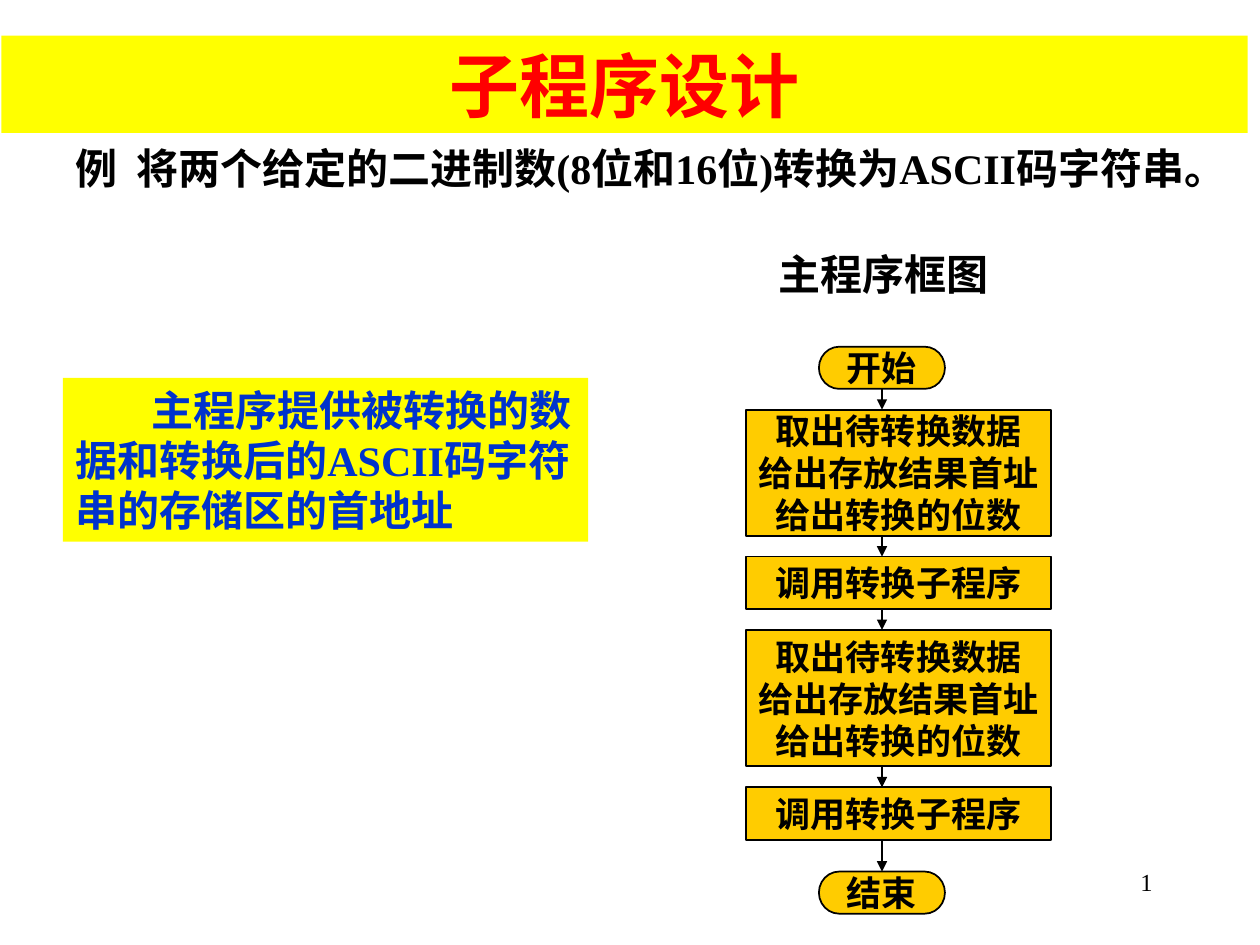
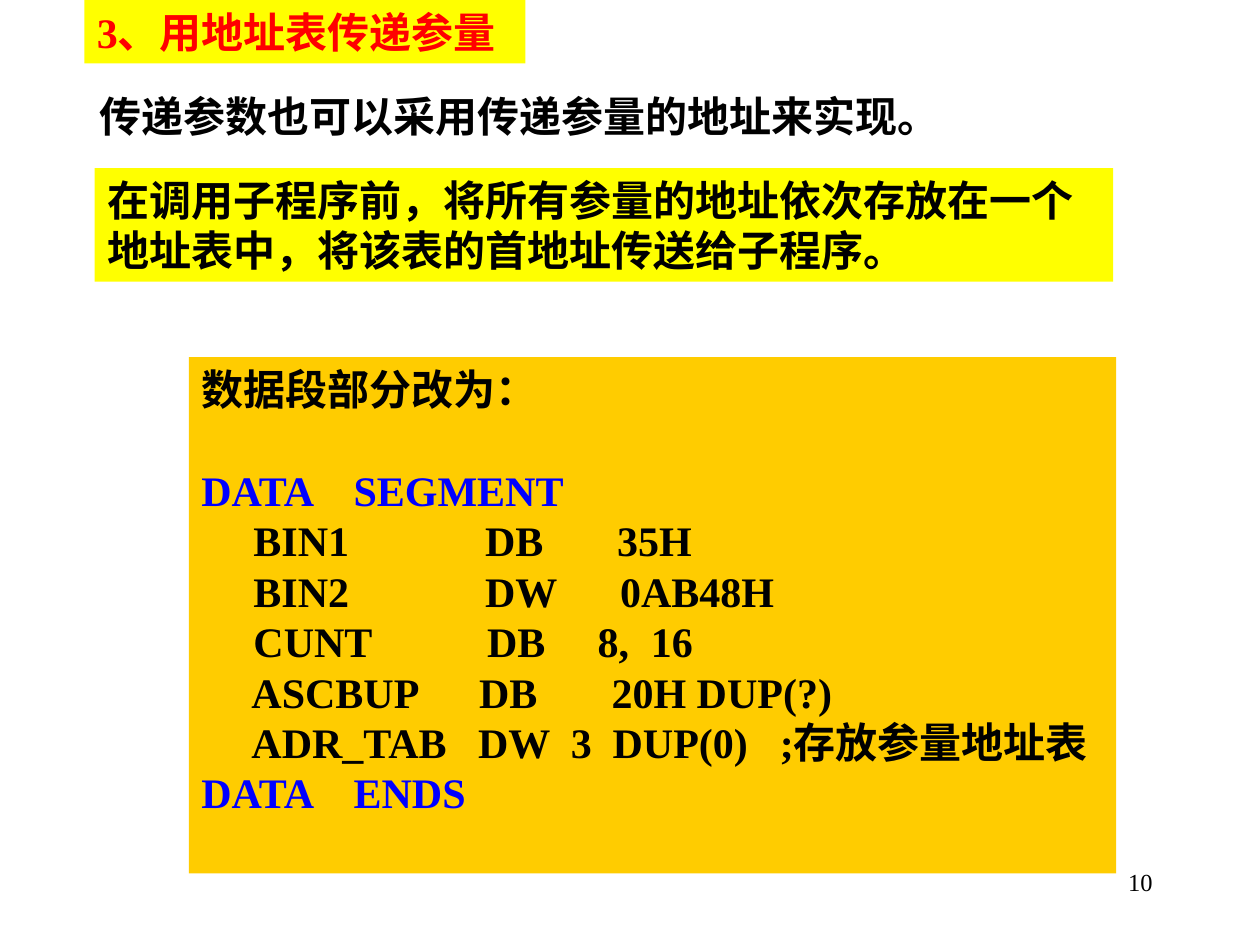
from typing import NamedTuple

from lxml import etree
from pptx import Presentation
from pptx.dml.color import RGBColor
from pptx.enum import shapes, text
from pptx.oxml.ns import qn
from pptx.util import Cm, Pt

FONT = "Times New Roman"
BLACK = RGBColor(0x00, 0x00, 0x00)
RED = RGBColor(0xFF, 0x00, 0x00)
YELLOW = RGBColor(0xFF, 0xFF, 0x00)
AMBER = RGBColor(0xFF, 0xCC, 0x00)
NAVY = RGBColor(0x00, 0x33, 0xCC)
BLUE = RGBColor(0x00, 0x00, 0xFF)
LEFT, CENTER, RIGHT = text.PP_ALIGN.LEFT, text.PP_ALIGN.CENTER, text.PP_ALIGN.RIGHT
LINE_GAP = Pt(29)


class Area(NamedTuple):
    """Position and size in centimetres."""
    left: float
    top: float
    width: float
    height: float


class Style(NamedTuple):
    """Look of a block of text."""
    size: int = 24
    color: RGBColor = BLACK
    fill: RGBColor | None = None
    align: text.PP_ALIGN = LEFT
    bold: bool = True
    wrap: bool = True
    middle: bool = False


class Step(NamedTuple):
    """A flowchart box and the gap below it, in centimetres."""
    words: str
    height: float
    gap: float = 0.42
    terminal: bool = False


class CodeLine(NamedTuple):
    """A line of assembly with its tab stops in centimetres."""
    words: str
    stops: tuple[float, ...] = ()
    color: RGBColor = BLACK


PLAIN = Style()
STEP_STYLE = Style(size=20, fill=AMBER, align=CENTER, wrap=False, middle=True)
NUMBER_STYLE = Style(size=14, align=RIGHT, bold=False)
NUMBER_AREA = Area(18.21, 17.35, 5.28, 1.27)

FLOW_TOP, FLOW_AXIS = 6.99, 17.78
BOX_LEFT, BOX_WIDTH, TERMINAL_WIDTH = 15.04, 6.15, 2.54
PREPARE = "取出待转换数据\n给出存放结果首址\n给出转换的位数"
CALL = "调用转换子程序"
STEPS = (
    Step("开始", 0.85, terminal=True),
    Step(PREPARE, 2.54),
    Step(CALL, 1.06),
    Step(PREPARE, 2.75),
    Step(CALL, 1.06, gap=0.64),
    Step("结束", 0.85, terminal=True),
)

CODE = (
    CodeLine("数据段部分改为："),
    CodeLine("DATA\tSEGMENT", (3.07,), BLUE),
    CodeLine("\tBIN1\tDB\t35H", (1.05, 5.72, 8.38)),
    CodeLine("\tBIN2\tDW\t0AB48H", (1.05, 5.72, 8.44)),
    CodeLine("\tCUNT\tDB\t8,\t16", (1.05, 5.76, 7.99, 9.06)),
    CodeLine("\tASCBUP\tDB\t20H DUP(?)", (1.01, 5.6, 8.27)),
    CodeLine("\tADR_TAB\tDW\t3\tDUP(0)\t;存放参量地址表", (1.01, 5.58, 7.45, 8.29, 11.66)),
    CodeLine("DATA\tENDS", (3.07,), BLUE),
)


def set_tabs(para, stops: tuple[float, ...]) -> None:
    """Give a paragraph left tab stops."""
    tab_list = etree.SubElement(para._p.get_or_add_pPr(), qn("a:tabLst"))
    for stop in stops:
        etree.SubElement(tab_list, qn("a:tab"), pos=str(Cm(stop)), algn="l")


def write(box, words: str, style: Style) -> None:
    """Fill a box with styled text."""
    if style.fill is not None:
        box.fill.solid()
        box.fill.fore_color.rgb = style.fill
    frame = box.text_frame
    frame.text = words
    frame.word_wrap = style.wrap
    frame.auto_size = text.MSO_AUTO_SIZE.NONE
    frame.vertical_anchor = text.MSO_ANCHOR.MIDDLE if style.middle else text.MSO_ANCHOR.TOP
    for para in frame.paragraphs:
        para.alignment = style.align
        for span in para.runs:
            span.font.name = FONT
            span.font.size = Pt(style.size)
            span.font.bold = style.bold
            span.font.color.rgb = style.color


def add_text(page, area: Area, words: str, style: Style = PLAIN):
    """Add a text box and return it."""
    box = page.shapes.add_textbox(*map(Cm, area))
    write(box, words, style)
    return box


def add_page(deck, area: Area, title: str, style: Style, number: int):
    """Add a page with a title band and a page number."""
    page = deck.slides.add_slide(deck.slide_layouts[5])
    band = page.shapes.title
    band.left, band.top, band.width, band.height = map(Cm, area)
    write(band, title, style)
    add_text(page, NUMBER_AREA, str(number), NUMBER_STYLE)
    return page


def add_step(page, step: Step, top: float) -> None:
    """Draw one flowchart box."""
    if step.terminal:
        kind = shapes.MSO_SHAPE.FLOWCHART_TERMINATOR
        area = Area(FLOW_AXIS - TERMINAL_WIDTH / 2, top, TERMINAL_WIDTH, step.height)
    else:
        kind = shapes.MSO_SHAPE.RECTANGLE
        area = Area(BOX_LEFT, top, BOX_WIDTH, step.height)
    box = page.shapes.add_shape(kind, *map(Cm, area))
    box.shadow.inherit = False
    box.line.color.rgb = BLACK
    box.line.width = Pt(1)
    write(box, step.words, STEP_STYLE)


def add_arrow(page, top: float, bottom: float) -> None:
    """Draw a downward arrow on the flow axis."""
    arrow = page.shapes.add_connector(
        shapes.MSO_CONNECTOR.STRAIGHT, Cm(FLOW_AXIS), Cm(top), Cm(FLOW_AXIS), Cm(bottom))
    arrow.line.color.rgb = BLACK
    arrow.line.width = Pt(1)
    etree.SubElement(arrow.line._get_or_add_ln(), qn("a:tailEnd"), type="triangle")
    etree.SubElement(arrow._element.spPr, qn("a:effectLst"))


def add_flowchart(page) -> None:
    """Stack the steps and join them with arrows."""
    top = FLOW_TOP
    for step in STEPS:
        add_step(page, step, top)
        bottom = top + step.height
        top = bottom + step.gap
        if step is not STEPS[-1]:
            add_arrow(page, bottom, top)


def add_code(page, area: Area) -> None:
    """Add the assembly listing in aligned columns."""
    box = add_text(page, area, "\n".join(line.words for line in CODE), Style(fill=AMBER))
    paras = box.text_frame.paragraphs
    paras[0].space_after = LINE_GAP
    for para, line in zip(paras, CODE):
        if line.stops:
            set_tabs(para, line.stops)
        for span in para.runs:
            span.font.color.rgb = line.color


def build_main_program(deck) -> None:
    """Build the page on the main program."""
    title_style = Style(size=40, color=RED, fill=YELLOW, align=CENTER)
    page = add_page(deck, Area(0.03, 0.72, 25.12, 1.96), "子程序设计", title_style, 1)
    example = add_text(page, Area(1.27, 2.74, 23.24, 2.29),
                       "例\t将两个给定的二进制数(8位和16位)转换为ASCII码字符串。")
    set_tabs(example.text_frame.paragraphs[0], (1.23,))
    note = add_text(page, Area(1.27, 7.62, 10.59, 3.3),
                    "主程序提供被转换的数据和转换后的ASCII码字符串的存储区的首地址",
                    Style(color=NAVY, fill=YELLOW))
    note.text_frame.paragraphs[0]._p.get_or_add_pPr().set("indent", str(Cm(1.53)))
    add_text(page, Area(15.44, 4.88, 5.28, 1.27), "主程序框图")
    add_flowchart(page)


def build_address_table(deck) -> None:
    """Build the page on passing parameters by address table."""
    page = add_page(deck, Area(1.7, 0, 8.89, 1.28), "3、用地址表传递参量",
                    Style(color=RED, fill=YELLOW), 10)
    add_text(page, Area(1.75, 1.7, 17.42, 1.27),
             "传递参数也可以采用传递参量的地址来实现。", Style(wrap=False))
    add_text(page, Area(1.91, 3.39, 20.53, 2.29),
             "在调用子程序前，将所有参量的地址依次存放在一个地址表中，将该表的首地址传送给子程序。",
             Style(fill=YELLOW))
    add_code(page, Area(3.81, 7.2, 18.69, 10.41))


def main() -> None:
    """Build and save the deck."""
    deck = Presentation()
    deck.slide_width, deck.slide_height = Cm(25.4), Cm(19.05)
    build_main_program(deck)
    build_address_table(deck)
    deck.save("out.pptx")


if __name__ == "__main__":
    main()
